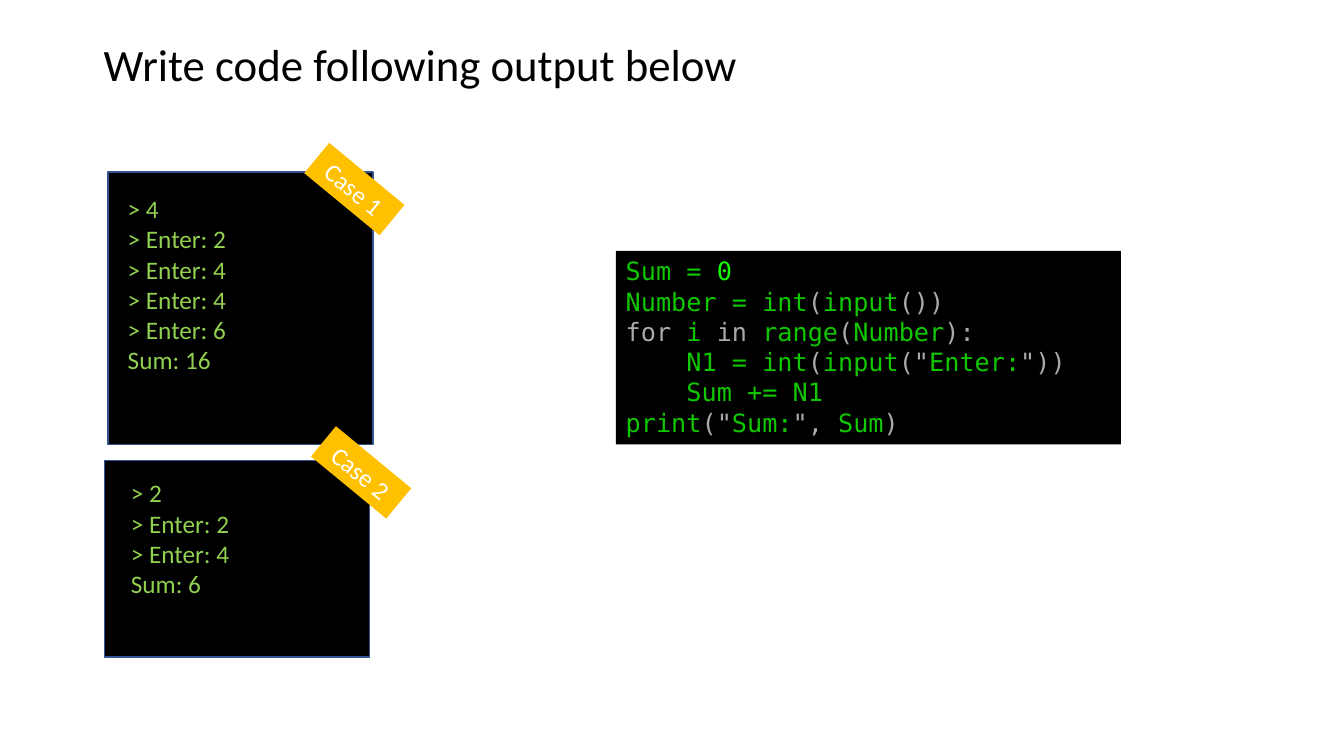
from pptx import Presentation
from pptx.dml.color import RGBColor as Rgb
from pptx.enum.shapes import MSO_SHAPE as Form
from pptx.enum.text import MSO_ANCHOR as Anchor, MSO_AUTO_SIZE as Fit, PP_ALIGN as Align
from pptx.util import Cm, Pt

HUES = {
    "black": "000000", "white": "FFFFFF", "edge": "325491", "lime": "92D050",
    "gold": "FFC000", "green": "11C700", "gray": "AAAAAA", "bright": "15FF00",
}
SANS, MONO = "Calibri", "DejaVu Sans Mono"
TAB = 1.53

CASES = [
    {"box": (2.72, 4.34, 6.68, 6.86), "text": (0.25, 0.41), "tag": (4.98, -0.07),
     "name": "Case 1",
     "lines": ["> 4", "> Enter: 2", "> Enter: 4", "> Enter: 4", "> Enter: 6", "Sum: 16"]},
    {"box": (2.64, 11.61, 6.68, 4.95), "text": (0.41, 0.3), "tag": (5.23, -0.2),
     "name": "Case 2",
     "lines": ["> 2", "> Enter: 2", "> Enter: 4", "Sum: 6"]},
]

CODE = [
    (0, [("green", "Sum = "), ("bright", "0")]),
    (0, [("green", "Number = int"), ("gray", "("), ("green", "input"), ("gray", "())")]),
    (0, [("gray", "for"), ("green", " i "), ("gray", "in"), ("green", " range"),
         ("gray", "("), ("green", "Number"), ("gray", "):")]),
    (1, [("green", "N1 = int"), ("gray", "("), ("green", "input"), ("gray", '("'),
         ("green", "Enter:"), ("gray", '"))')]),
    (1, [("green", "Sum += N1")]),
    (0, [("green", "print"), ("gray", '("'), ("green", "Sum:"), ("gray", '",'),
         ("green", " Sum"), ("gray", ")")]),
]


def tune(thing, form):
    for key, value in form.items():
        setattr(thing, key, value)


def hue(name):
    return Rgb.from_string(HUES[name])


def place(shape, box):
    tune(shape, dict(zip(("left", "top", "width", "height"), map(Cm, box))))


def write(para, text, tint, font=SANS, size=18):
    run = para.add_run()
    run.text = text
    tune(run.font, {"name": font, "size": Pt(size), "bold": False})
    run.font.color.rgb = hue(tint)


def fill(frame, rows, font=SANS):
    for num, (depth, parts) in enumerate(rows):
        para = frame.add_paragraph() if num else frame.paragraphs[0]
        para.alignment = Align.LEFT
        if depth:
            tune_pad = para._p.get_or_add_pPr()
            tune_pad.set("marL", str(Cm(depth * TAB)))
        for tint, text in parts:
            write(para, text, tint, font)


def panel(slide, box, tint, edge=None):
    shape = slide.shapes.add_shape(Form.RECTANGLE, *map(Cm, box))
    shape.shadow.inherit = False
    shape.fill.solid()
    shape.fill.fore_color.rgb = hue(tint)
    if edge:
        shape.line.color.rgb = hue(edge)
        shape.line.width = Pt(1)
    else:
        shape.line.fill.background()
    return shape


def head(slide, box):
    title = slide.shapes.title
    place(title, box)
    frame = title.text_frame
    tune(frame, {"word_wrap": False, "auto_size": Fit.NONE, "vertical_anchor": Anchor.TOP})
    frame.paragraphs[0].alignment = Align.LEFT
    write(frame.paragraphs[0], "Write code following output below", "black", size=32)


def case(slide, box, text, tag, name, lines):
    left, top = box[:2]
    panel(slide, box, "black", "edge")
    spot = (left + text[0], top + text[1], 3.02, 0.25 + 0.77 * len(lines))
    frame = slide.shapes.add_textbox(*map(Cm, spot)).text_frame
    tune(frame, {"word_wrap": False, "auto_size": Fit.SHAPE_TO_FIT_TEXT})
    fill(frame, [(0, [("lime", line)]) for line in lines])
    label = panel(slide, (left + tag[0], top + tag[1], 2.46, 0.99), "gold")
    label.rotation = 39.5
    label.text_frame.vertical_anchor = Anchor.MIDDLE
    para = label.text_frame.paragraphs[0]
    para.alignment = Align.CENTER
    write(para, name, "white")


def code(slide, box):
    frame = panel(slide, box, "black").text_frame
    tune(frame, {"word_wrap": True, "auto_size": Fit.SHAPE_TO_FIT_TEXT,
                 "vertical_anchor": Anchor.TOP})
    fill(frame, CODE, MONO)


def main():
    deck = Presentation()
    tune(deck, {"slide_width": Cm(33.87), "slide_height": Cm(19.05)})
    slide = deck.slides.add_slide(deck.slide_layouts[5])
    head(slide, (2.36, 0.81, 16.64, 1.63))
    for item in CASES:
        case(slide, **item)
    code(slide, (15.52, 6.32, 12.73, 4.88))
    deck.save("out.pptx")


main()
